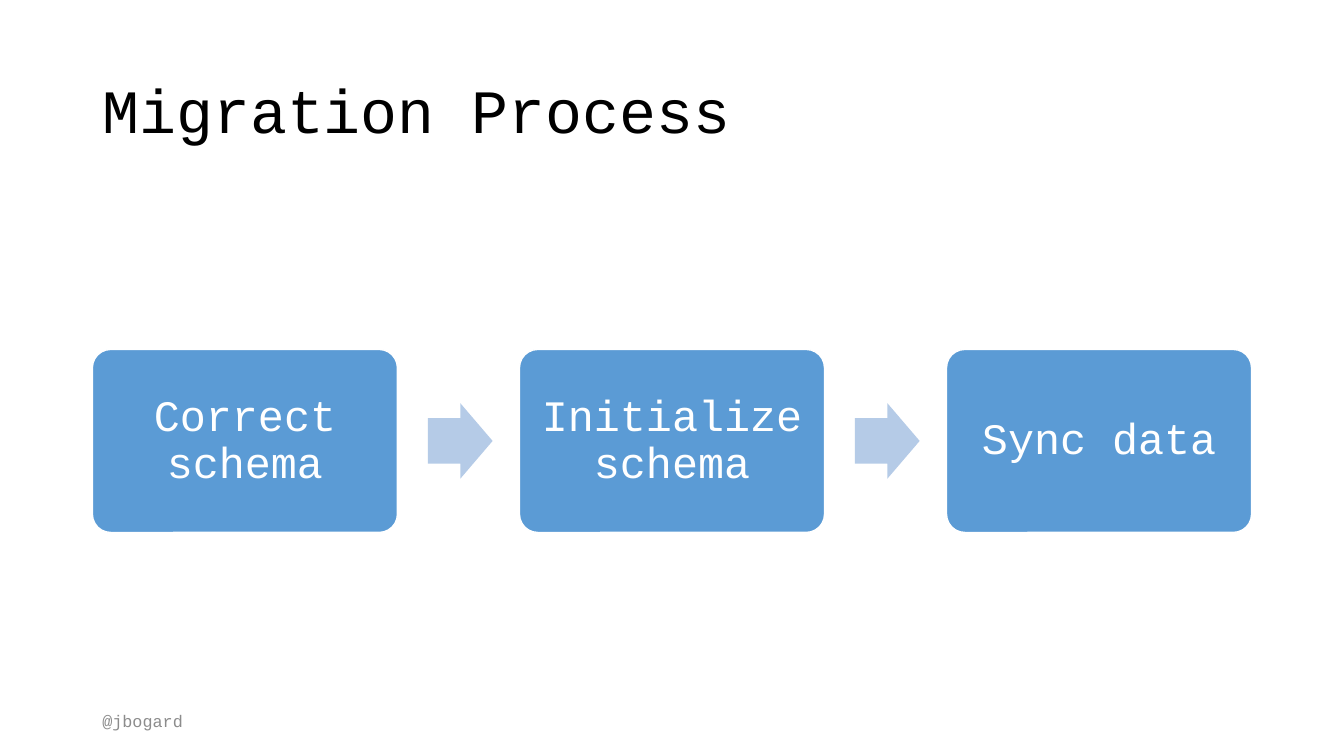
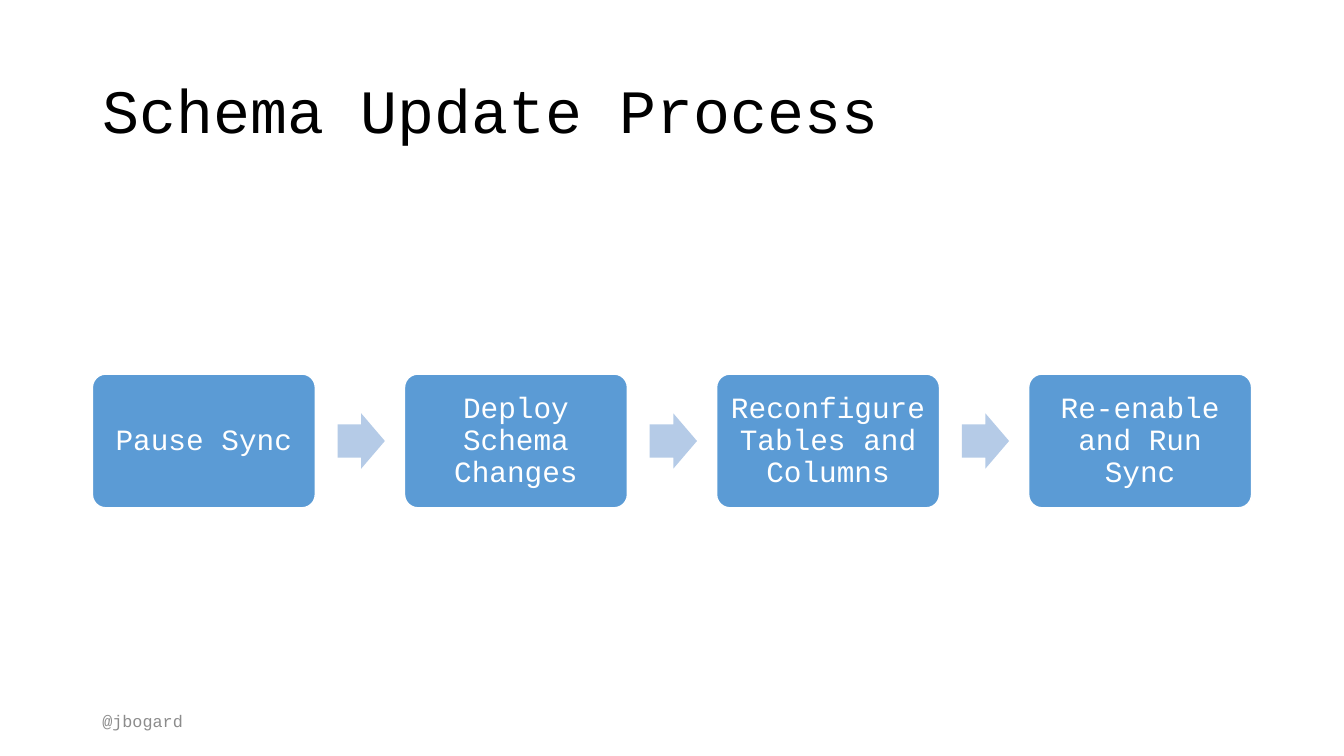
from dataclasses import dataclass

import pptx
import pptx.dml.color
import pptx.enum.shapes
import pptx.enum.text
import pptx.util

MSO_SHAPE = pptx.enum.shapes.MSO_SHAPE
PP_ALIGN = pptx.enum.text.PP_ALIGN
PX = 9525  # EMU in one px; the slide is 1280 x 720 px


@dataclass(frozen=True)
class Theme:
    font: str = "Courier New"
    background: str = "FFFFFF"
    title: str = "000000"
    footer: str = "8C8C8C"
    step: str = "5B9BD5"
    step_text: str = "FFFFFF"
    arrow: str = "B5CBE7"
    title_size: int = 44
    footer_size: int = 12


THEME = Theme()
TITLE_BOX = (88, 38, 1104, 140)
FLOW_BOX = (88, 175, 1104, 490)
FOOTER_BOX = (88, 667, 288, 38)
FOOTER = "@jbogard"
SLIDES = [
    ("Migration Process", 31,
     ["Correct schema", "Initialize schema", "Sync data"]),
    ("Schema Update Process", 21,
     ["Pause Sync", "Deploy Schema Changes",
      "Reconfigure Tables and Columns", "Re-enable and Run Sync"]),
]


def emu(*lengths):
    return [round(length * PX) for length in lengths]


def rgb(color):
    return pptx.dml.color.RGBColor.from_string(color)


def write(sp, text, *, size, color, align=PP_ALIGN.LEFT, spacing=1.0, inset=None):
    """Fill a shape with one centred-in-height paragraph; inset is in points."""
    tf = sp.text_frame
    tf.word_wrap = True
    tf.vertical_anchor = pptx.enum.text.MSO_ANCHOR.MIDDLE
    if inset is not None:
        tf.margin_left = tf.margin_right = pptx.util.Pt(inset)
        tf.margin_top = tf.margin_bottom = pptx.util.Pt(inset)
    p = tf.paragraphs[0]
    p.alignment = align
    p.line_spacing = spacing
    r = p.add_run()
    r.text = text
    r.font.name = THEME.font
    r.font.size = pptx.util.Pt(size)
    r.font.color.rgb = rgb(color)


def add_label(s, box, text, **fmt):
    write(s.shapes.add_textbox(*emu(*box)), text, **fmt)


def add_block(s, kind, box, fill, adjustments, line=None):
    sp = s.shapes.add_shape(kind, *emu(*box))
    sp.shadow.inherit = False
    for i, value in enumerate(adjustments):
        sp.adjustments[i] = value
    sp.fill.solid()
    sp.fill.fore_color.rgb = rgb(fill)
    if line:
        sp.line.color.rgb = rgb(line)
        sp.line.width = pptx.util.Pt(1)
    else:
        sp.line.fill.background()
    return sp


def add_flow(s, box, steps, size):
    """Spread steps over the box width, with an arrow in each gap."""
    left, top, width, height = box
    middle = top + height / 2
    gap_ratio = 0.4
    step_w = width / (len(steps) + gap_ratio * (len(steps) - 1))
    step_h = 0.6 * step_w
    arrow_w, arrow_h = 0.212 * step_w, 0.248 * step_w
    for i, text in enumerate(steps):
        x = left + i * step_w * (1 + gap_ratio)
        if i:
            arrow_x = x - 0.3 * step_w
            add_block(s, MSO_SHAPE.RIGHT_ARROW,
                      (arrow_x, middle - arrow_h / 2, arrow_w, arrow_h),
                      THEME.arrow, (0.6, 0.5))
        sp = add_block(s, MSO_SHAPE.ROUNDED_RECTANGLE,
                       (x, middle - step_h / 2, step_w, step_h),
                       THEME.step, (0.1,), line=THEME.background)
        write(sp, text, size=size, color=THEME.step_text,
              align=PP_ALIGN.CENTER, spacing=0.9, inset=0.3 * size)


def add_process_slide(prs, title, size, steps):
    s = prs.slides.add_slide(prs.slide_layouts[6])
    s.background.fill.solid()
    s.background.fill.fore_color.rgb = rgb(THEME.background)
    add_label(s, TITLE_BOX, title, size=THEME.title_size, color=THEME.title,
              spacing=0.9)
    add_flow(s, FLOW_BOX, steps, size)
    add_label(s, FOOTER_BOX, FOOTER, size=THEME.footer_size, color=THEME.footer)


def main():
    prs = pptx.Presentation()
    prs.slide_width, prs.slide_height = emu(1280, 720)
    for title, size, steps in SLIDES:
        add_process_slide(prs, title, size, steps)
    prs.save("out.pptx")


if __name__ == "__main__":
    main()
